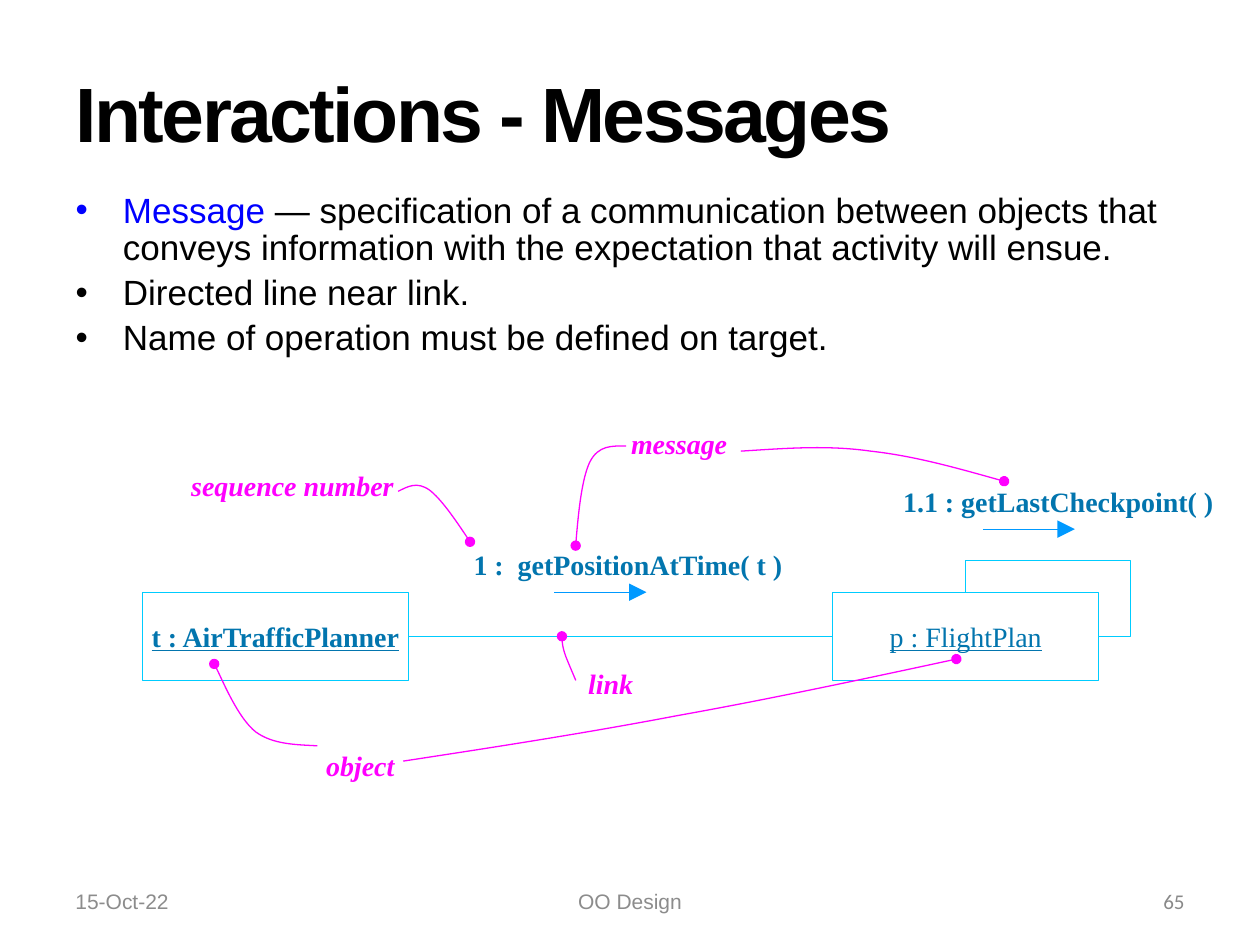
from dataclasses import dataclass
from typing import Any

from lxml import etree
from pptx import Presentation
from pptx import util as u
from pptx.dml.color import RGBColor
from pptx.enum import shapes, text
from pptx.oxml.ns import qn

COLORS = {
    "black": "000000", "white": "FFFFFF", "term": "0000FF", "date": "8C8C8C",
    "number": "898989", "outline": "00CCFF", "arrow": "0099FF",
    "operation": "0275AE", "note": "FF00FF",
}
SERIF = {"name": "Times New Roman", "size": u.Pt(16)}
STYLES = {
    "operation": SERIF | {"bold": True},
    "note": SERIF | {"bold": True, "italic": True},
    "body": {"name": "Arial", "size": u.Pt(20)},
}
ALIGN = text.PP_ALIGN


@dataclass
class Label:
    wording: str
    left: float
    top: float
    width: float
    style: str


@dataclass
class Footer:
    wording: str
    left: float
    width: float
    align: Any
    font: str
    color: str


@dataclass
class Callout:
    start: tuple[float, float]
    curves: list[tuple[float, float]]


LABELS = [
    Label("1 :  getPositionAtTime( t )", 263.5, 309.6, 192, "operation"),
    Label("1.1 : getLastCheckpoint( )", 509, 273.6, 192, "operation"),
    Label("object", 179.3, 424, 54, "note"),
    Label("link", 329, 377.3, 40, "note"),
    Label("sequence number", 102.2, 264.2, 130, "note"),
    Label("message", 353.5, 240.5, 70, "note"),
]
FOOTERS = [
    Footer("15-Oct-22", 36, 168, ALIGN.LEFT, "Arial", "date"),
    Footer("OO Design", 246, 228, ALIGN.CENTER, "Arial", "date"),
    Footer("65", 516, 168, ALIGN.RIGHT, "Calibri", "number"),
]
CALLOUTS = [
    Callout((181.4, 426.2), [(169.2, 425.5), (156.2, 425.5), (146.2, 418.3),
                             (136.1, 410.4), (126, 385.9), (122.4, 379.4)]),
    Callout((329, 388.8), [(326.9, 383.8), (324.7, 378.7), (323.3, 375.1),
                           (321.8, 370.8), (321.1, 367.2), (321.1, 363.6)]),
    Callout((227.5, 280.8), [(233.3, 277.9), (238.3, 275), (245.5, 280.1),
                             (252, 285.1), (260.6, 297.4), (268.6, 309.6)]),
    Callout((357.8, 254.9), [(349.9, 254.9), (342, 254.2), (337, 264.2),
                             (332.6, 273.6), (330.5, 293), (329, 311.8)]),
    Callout((423.4, 257.8), [(447.8, 256.3), (472.3, 254.2), (497.5, 257.8),
                             (522.7, 260.6), (547.9, 267.8), (573.8, 275)]),
    Callout((230.4, 434.9), [(282.2, 427), (334.1, 419), (386.6, 409),
                             (439.2, 399.6), (493.2, 388.1), (546.5, 376.6)]),
]


def apply(target: Any, values: dict[str, Any]) -> None:
    for name, value in values.items():
        setattr(target, name, value)


def place(shape: Any, left: float, top: float, width: float, height: float) -> None:
    apply(shape, {"left": u.Pt(left), "top": u.Pt(top),
                  "width": u.Pt(width), "height": u.Pt(height)})


def add_run(paragraph: Any, wording: str, values: dict[str, Any], color: str) -> Any:
    run = paragraph.add_run()
    run.text = wording
    apply(run.font, values)
    run.font.color.rgb = RGBColor.from_string(COLORS[color])
    return run


def format_line(shape: Any, color: str, head: str = "", size: str = "med") -> None:
    shape.line.color.rgb = RGBColor.from_string(COLORS[color])
    shape.line.width = u.Pt(0.75)
    if head:
        line = shape._element.spPr.find(qn("a:ln"))
        etree.SubElement(line, qn("a:tailEnd"), type=head, w=size, len=size)


def add_text(slide: Any, left: float, top: float, width: float, height: float) -> Any:
    return slide.shapes.add_textbox(u.Pt(left), u.Pt(top), u.Pt(width), u.Pt(height)).text_frame


def add_label(slide: Any, label: Label) -> None:
    frame = add_text(slide, label.left, label.top, label.width, 26.6)
    apply(frame, {"word_wrap": False, "auto_size": text.MSO_AUTO_SIZE.SHAPE_TO_FIT_TEXT})
    add_run(frame.paragraphs[0], label.wording, STYLES[label.style], label.style)


def add_footer(slide: Any, footer: Footer) -> None:
    frame = add_text(slide, footer.left, 500.4, footer.width, 28.8)
    apply(frame, {"word_wrap": True, "vertical_anchor": text.MSO_ANCHOR.MIDDLE})
    frame.paragraphs[0].alignment = footer.align
    add_run(frame.paragraphs[0], footer.wording,
            {"name": footer.font, "size": u.Pt(12)}, footer.color)


def add_object(slide: Any, wording: str, left: float, bold: bool) -> Any:
    shape = slide.shapes.add_shape(
        shapes.MSO_SHAPE.RECTANGLE, u.Pt(left), u.Pt(338.4), u.Pt(152), u.Pt(50.4))
    shape.shadow.inherit = False
    shape.fill.solid()
    shape.fill.fore_color.rgb = RGBColor.from_string(COLORS["white"])
    format_line(shape, "outline")
    apply(shape.text_frame, {"word_wrap": False, "vertical_anchor": text.MSO_ANCHOR.MIDDLE})
    paragraph = shape.text_frame.paragraphs[0]
    paragraph.alignment = ALIGN.CENTER
    add_run(paragraph, wording, SERIF | {"bold": bold, "underline": True}, "operation")
    return shape


def add_line(slide: Any, kind: Any, start: tuple[float, float], end: tuple[float, float],
             color: str, head: str = "") -> Any:
    connector = slide.shapes.add_connector(kind, *(u.Pt(value) for value in start + end))
    format_line(connector, color, head, "lg")
    etree.SubElement(connector._element.spPr, qn("a:effectLst"))
    return connector


def add_callout(slide: Any, callout: Callout) -> None:
    builder = slide.shapes.build_freeform(*(u.Pt(value) for value in callout.start), scale=1.0)
    builder.add_line_segments([(u.Pt(x), u.Pt(y)) for x, y in callout.curves], close=False)
    shape = builder.convert_to_shape()
    outline = next(shape._element.iter(qn("a:path")))
    segments = outline.findall(qn("a:lnTo"))
    for index in range(0, len(segments), 3):
        curve = etree.SubElement(outline, qn("a:cubicBezTo"))
        for segment in segments[index:index + 3]:
            curve.append(segment[0])
            outline.remove(segment)
    shape.shadow.inherit = False
    shape.fill.background()
    format_line(shape, "note", "oval")


def fill_placeholders(slide: Any) -> None:
    title, body = slide.shapes.title, slide.placeholders[1]
    place(title, 36, 21.6, 648, 85)
    place(body, 36, 106.6, 648, 112.3)
    for shape in (title, body):
        apply(shape.text_frame, {"word_wrap": True, "auto_size": text.MSO_AUTO_SIZE.NONE})
    title.text_frame.vertical_anchor = text.MSO_ANCHOR.MIDDLE
    heading = title.text_frame.paragraphs[0]
    heading.alignment = ALIGN.LEFT
    run = add_run(heading, "Interactions - Messages",
                  {"name": "Arial", "size": u.Pt(44), "bold": True}, "black")
    run.font._element.set("spc", "-150")
    bullets = [
        [("Message", "term"), (" — specification of a communication between objects that "
                               "conveys information with the expectation that activity "
                               "will ensue.", "black")],
        [("Directed line near link.", "black")],
        [("Name of operation must be defined on target.", "black")],
    ]
    for index, runs in enumerate(bullets):
        frame = body.text_frame
        paragraph = frame.add_paragraph() if index else frame.paragraphs[0]
        apply(paragraph, {"line_spacing": 0.9, "space_before": u.Pt(4 if index else 0)})
        for wording, color in runs:
            add_run(paragraph, wording, STYLES["body"], color)


def main() -> None:
    presentation = Presentation()
    apply(presentation, {"slide_width": u.Pt(720), "slide_height": u.Pt(540)})
    slide = presentation.slides.add_slide(presentation.slide_layouts[1])
    fill_placeholders(slide)
    for footer in FOOTERS:
        add_footer(slide, footer)
    planner = add_object(slide, "t : AirTrafficPlanner", 81.4, True)
    plan = add_object(slide, "p : FlightPlan", 475.9, False)
    kinds = shapes.MSO_CONNECTOR
    link = add_line(slide, kinds.STRAIGHT, (233.4, 363.6), (475.9, 363.6), "outline")
    link.begin_connect(planner, 3)
    link.end_connect(plan, 1)
    self_link = add_line(slide, kinds.ELBOW, (627.9, 363.6), (551.9, 338.4), "outline")
    self_link.begin_connect(plan, 3)
    self_link.end_connect(plan, 0)
    geometry = self_link._element.spPr.find(qn("a:prstGeom"))
    geometry.set("prst", "bentConnector4")
    for name, value in (("adj1", -23700), ("adj2", 171300)):
        etree.SubElement(geometry.find(qn("a:avLst")), qn("a:gd"), name=name, fmla=f"val {value}")
    for left, top in ((316.8, 338.4), (561.6, 302.4)):
        add_line(slide, kinds.STRAIGHT, (left, top), (left + 52.6, top), "arrow", "triangle")
    for label in LABELS:
        add_label(slide, label)
    for callout in CALLOUTS:
        add_callout(slide, callout)
    presentation.save("out.pptx")


if __name__ == "__main__":
    main()
